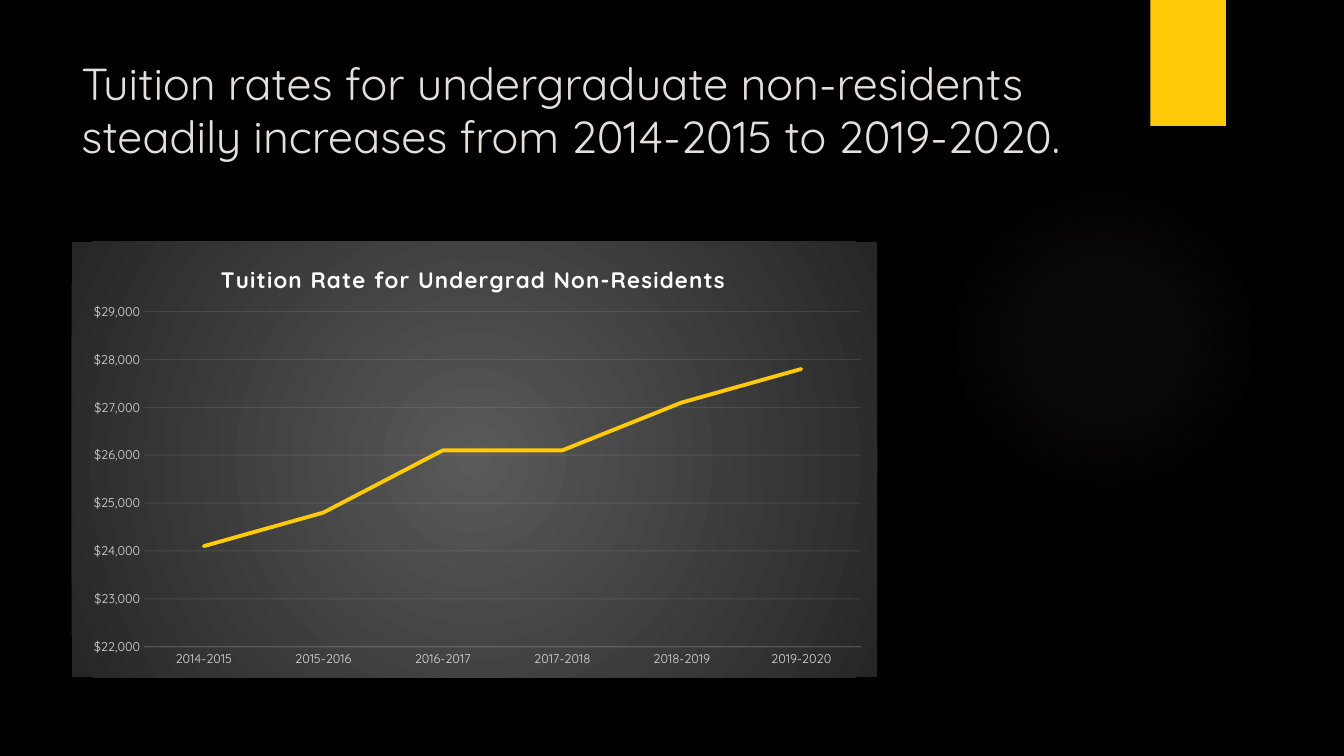
from lxml import etree
from pptx import Presentation
from pptx import util as u
from pptx.chart.data import CategoryChartData
from pptx.dml.color import RGBColor
from pptx.enum import chart as ch, shapes, text
from pptx.oxml import parse_xml
from pptx.oxml.ns import nsdecls, qn

FONT = "Quicksand"
COLORS = {
    "background": "000000", "gold": "FFCA08", "glow": "968071",
    "heading": "E5DEDB", "chart_title": "FFFFFF", "labels": "D9D9D9",
    "grid": "F2F2F2", "panel_center": "595959", "panel_edge": "262626",
}
TUITION = {
    "2014-2015": 24100, "2015-2016": 24800, "2016-2017": 26100,
    "2017-2018": 26100, "2018-2019": 27100, "2019-2020": 27800,
}


def rgb(name):
    return RGBColor.from_string(COLORS[name])


def style_font(font, size, color, bold=False):
    font.name, font.size, font.bold = FONT, u.Pt(size), bold
    font.color.rgb = rgb(color)


def radial_fill(stops):
    """Gradient from the centre; stops are (position %, colour, opacity %)."""
    marks = "".join(
        f'<a:gs pos="{pos * 1000}"><a:srgbClr val="{COLORS[color]}">'
        f'<a:alpha val="{opacity * 1000}"/></a:srgbClr></a:gs>'
        for pos, color, opacity in stops)
    return parse_xml(
        f'<a:gradFill {nsdecls("a")} rotWithShape="1"><a:gsLst>{marks}</a:gsLst>'
        '<a:path path="circle"><a:fillToRect l="50000" t="50000" r="50000" b="50000"/>'
        '</a:path></a:gradFill>')


def add_plain_shape(slide, kind, left, top, width, height):
    shape = slide.shapes.add_shape(kind, *map(u.Inches, (left, top, width, height)))
    shape.shadow.inherit = False
    shape.line.fill.background()
    return shape


def add_glow(slide):
    glow = add_plain_shape(slide, shapes.MSO_SHAPE.OVAL, 9.41, 1.83, 3.08, 3.08)
    stops = [(0, "glow", 7), (36, "glow", 6), (69, "glow", 0)]
    glow.element.spPr.find(qn("a:prstGeom")).addnext(radial_fill(stops))


def add_ribbon(slide):
    ribbon = add_plain_shape(slide, shapes.MSO_SHAPE.RECTANGLE, 11.41, 0, 0.75, 1.25)
    ribbon.fill.solid()
    ribbon.fill.fore_color.rgb = rgb("gold")
    ribbon.element.spPr.find(qn("a:effectLst")).append(parse_xml(
        f'<a:outerShdw {nsdecls("a")} blurRad="{u.Pt(3)}" dist="{u.Pt(2)}" dir="5400000">'
        '<a:srgbClr val="000000"><a:alpha val="45000"/></a:srgbClr></a:outerShdw>'))


def add_heading(slide, words):
    heading = slide.shapes.add_textbox(*map(u.Inches, (0.71, 0.5, 10.29, 2.22)))
    frame = heading.text_frame
    frame.word_wrap = True
    frame.vertical_anchor = text.MSO_ANCHOR.TOP
    frame.text = words
    style_font(frame.paragraphs[0].runs[0].font, 32, "heading")


def set_layout(parent, **fractions):
    """Place a chart part by fractions of the chart area."""
    old = parent.find(qn("c:layout"))
    if old is not None:
        parent.remove(old)
    target = '<c:layoutTarget val="inner"/>' if "w" in fractions else ""
    modes = "".join(f'<c:{key}Mode val="edge"/>' for key in "xy")
    sizes = "".join(f'<c:{key} val="{value}"/>' for key, value in fractions.items())
    layout = parse_xml(f'<c:layout {nsdecls("c")}><c:manualLayout>'
                       f'{target}{modes}{sizes}</c:manualLayout></c:layout>')
    text_part = parent.find(qn("c:tx"))
    if text_part is None:
        parent.insert(0, layout)
    else:
        text_part.addnext(layout)


def faint_line(line):
    line.color.rgb = rgb("grid")
    line.width = u.Pt(0.75)
    color = line.fill._xPr.find(".//" + qn("a:srgbClr"))
    etree.SubElement(color, qn("a:alpha")).set("val", "10000")


def style_axis(axis):
    axis.major_tick_mark = axis.minor_tick_mark = ch.XL_TICK_MARK.NONE
    style_font(axis.tick_labels.font, 9, "labels")


def add_tuition_chart(slide):
    tuition = CategoryChartData()
    tuition.categories = list(TUITION)
    tuition.add_series("Series 1", list(TUITION.values()))
    chart = slide.shapes.add_chart(
        ch.XL_CHART_TYPE.LINE, *map(u.Inches, (0.71, 2.4, 7.99, 4.32)), tuition).chart
    chart.has_legend = False
    style_font(chart.font, 10, "chart_title")

    # Title
    chart.has_title = True
    title = chart.chart_title
    title.text_frame.text = "Tuition Rate for Undergrad Non-Residents"
    title_run = title.text_frame.paragraphs[0].runs[0]
    style_font(title_run.font, 16, "chart_title", bold=True)
    title_run.font._element.set("spc", "100")
    title.include_in_layout = False
    set_layout(title._element, x=0.18, y=0.04)

    # Axes
    years, rates = chart.category_axis, chart.value_axis
    style_axis(years)
    faint_line(years.format.line)
    style_axis(rates)
    rates.minimum_scale, rates.maximum_scale, rates.major_unit = 22000, 29000, 1000
    rates.tick_labels.number_format = r"\$#,##0"
    rates.tick_labels.number_format_is_linked = False
    rates.format.line.fill.background()
    faint_line(rates.major_gridlines.format.line)

    # Rate line
    plot = chart.plots[0]
    plot.vary_by_categories = False
    rate_line = plot.series[0]
    rate_line.smooth = False
    rate_line.marker.style = ch.XL_MARKER_STYLE.NONE
    rate_line.format.line.color.rgb = rgb("gold")
    rate_line.format.line.width = u.Pt(2.75)
    rate_line.format.line._ln.set("cap", "rnd")

    # Panel and plot area
    chart_space = chart._chartSpace
    set_layout(chart_space.chart.plotArea, x=0.09, y=0.16, w=0.89, h=0.77)
    panel = parse_xml(f'<c:spPr {nsdecls("c", "a")}><a:ln><a:noFill/></a:ln></c:spPr>')
    panel.insert(0, radial_fill([(0, "panel_center", 100), (100, "panel_edge", 100)]))
    chart_space.chart.addnext(panel)


def main():
    deck = Presentation()
    deck.slide_width, deck.slide_height = u.Inches(13.33), u.Inches(7.5)
    slide = deck.slides.add_slide(deck.slide_layouts[6])
    slide.background.fill.solid()
    slide.background.fill.fore_color.rgb = rgb("background")

    add_glow(slide)
    add_ribbon(slide)
    add_heading(slide, "Tuition rates for undergraduate non-residents "
                       "steadily increases from 2014-2015 to 2019-2020.")
    add_tuition_chart(slide)
    deck.save("out.pptx")


if __name__ == "__main__":
    main()
